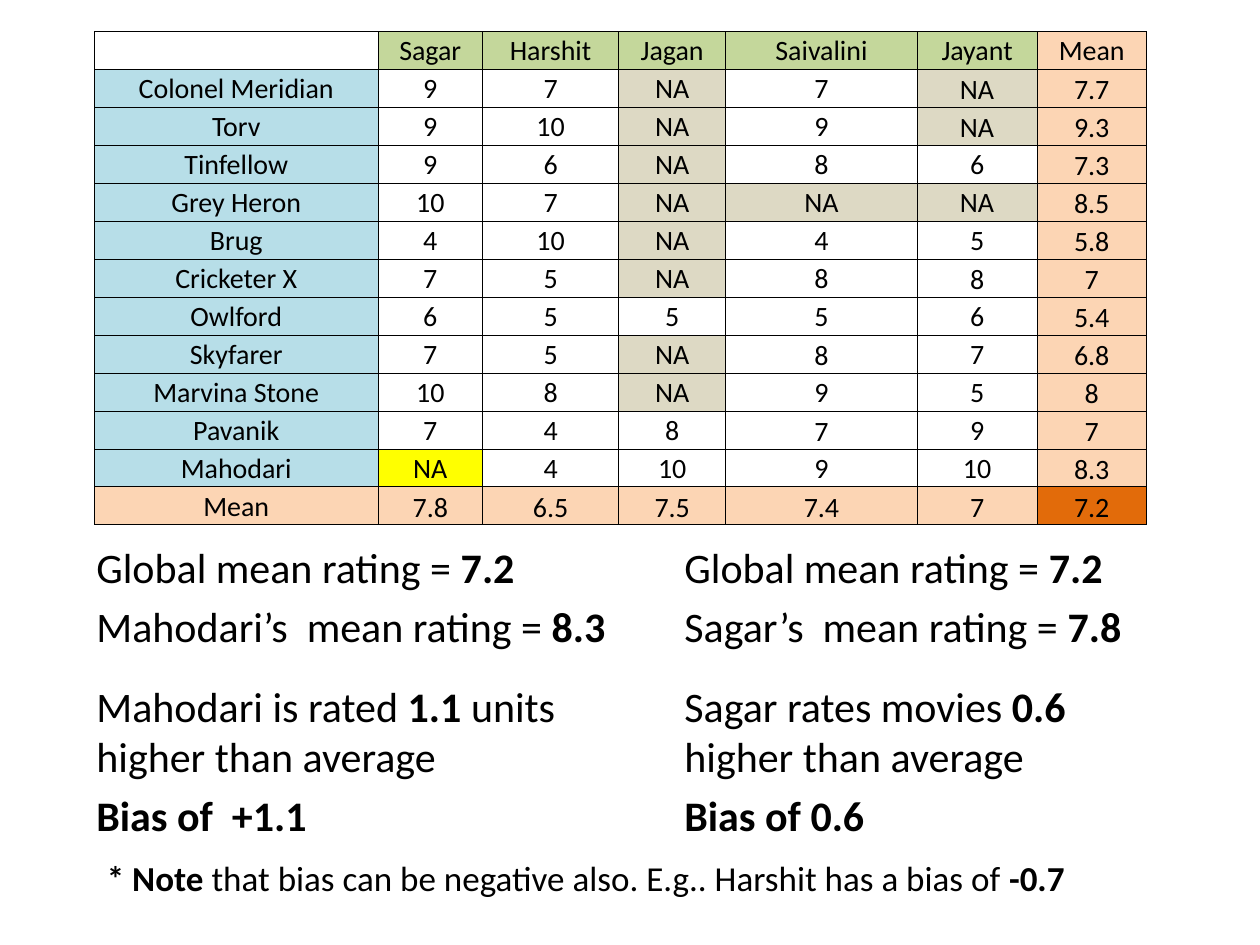
from lxml.etree import SubElement
from pptx import Presentation
from pptx.dml.color import RGBColor
from pptx.enum.text import MSO_ANCHOR as Anchor, MSO_AUTO_SIZE as AutoSize, PP_ALIGN as Align
from pptx.oxml.ns import qn
from pptx.util import Inches, Pt

BLACK = RGBColor(0x00, 0x00, 0x00)
GREEN = RGBColor(0xC4, 0xD7, 0x9B)
BLUE = RGBColor(0xB7, 0xDE, 0xE8)
PEACH = RGBColor(0xFC, 0xD5, 0xB4)
TAN = RGBColor(0xDD, 0xD9, 0xC4)
YELLOW = RGBColor(0xFF, 0xFF, 0x00)
ORANGE = RGBColor(0xE2, 0x6B, 0x0A)
FONT = "Calibri"

deck = Presentation()
deck.slide_width, deck.slide_height = Inches(10), Inches(7.5)
page = deck.slides.add_slide(deck.slide_layouts[6])

# Slide grid: 12 columns by 30 rows
COL = deck.slide_width / 12
ROW = deck.slide_height / 30


def add_span(para, text, size, bold=False):
    span = para.add_run()
    span.text = text
    span.font.name, span.font.size, span.font.bold = FONT, Pt(size), bold
    span.font.color.rgb = BLACK


def add_box(col, row, cols, rows, paragraphs, size):
    """Text box; the odd pieces of every paragraph are bold."""
    box = page.shapes.add_textbox(int(col * COL), int(row * ROW), int(cols * COL), int(rows * ROW))
    frame = box.text_frame
    frame.word_wrap = True
    for number, pieces in enumerate(paragraphs):
        para = frame.add_paragraph() if number else frame.paragraphs[0]
        for index, piece in enumerate(pieces):
            if piece:
                add_span(para, piece, size, bold=index % 2 == 1)
    return frame


# Two worked examples, side by side
examples = [
    (0.8, 5.1, [
        ("Global mean rating = ", "7.2"),
        ("Mahodari’s  mean rating = ", "8.3"),
        ("Mahodari is rated ", "1.1 ", "units higher than average"),
        ("", "Bias of  +1.1"),
    ]),
    (6.4, 4.6, [
        ("Global mean rating = ", "7.2"),
        ("Sagar’s  mean rating = ", "7.8"),
        ("Sagar rates movies ", "0.6", " higher than average"),
        ("", "Bias of 0.6"),
    ]),
]
for left, width, paragraphs in examples:
    frame = add_box(left, 17, width, 10, paragraphs, 24)
    for para in frame.paragraphs:
        para.space_before = Pt(4.8)
    frame.paragraphs[1].space_after = Pt(12)

# Note
note = [("", "* Note", " that bias can be negative also. E.g.. Harshit has a bias of ", "-0.7")]
add_box(0.9, 27, 10.5, 1.75, note, 20).auto_size = AutoSize.SHAPE_TO_FIT_TEXT

# Ratings table
ratings = [
    ("", "Sagar", "Harshit", "Jagan", "Saivalini", "Jayant", "Mean"),
    ("Colonel Meridian", "9", "7", "NA", "7", "NA", "7.7"),
    ("Torv", "9", "10", "NA", "9", "NA", "9.3"),
    ("Tinfellow", "9", "6", "NA", "8", "6", "7.3"),
    ("Grey Heron", "10", "7", "NA", "NA", "NA", "8.5"),
    ("Brug", "4", "10", "NA", "4", "5", "5.8"),
    ("Cricketer X", "7", "5", "NA", "8", "8", "7"),
    ("Owlford", "6", "5", "5", "5", "6", "5.4"),
    ("Skyfarer", "7", "5", "NA", "8", "7", "6.8"),
    ("Marvina Stone", "10", "8", "NA", "9", "5", "8"),
    ("Pavanik", "7", "4", "8", "7", "9", "7"),
    ("Mahodari", "NA", "4", "10", "9", "10", "8.3"),
    ("Mean", "7.8", "6.5", "7.5", "7.4", "7", "7.2"),
]
column_widths = [2.25, 0.83, 1.08, 0.85, 1.52, 0.95, 0.87]
low_cells = {(1, 5), (2, 5), (6, 5), (8, 4), (10, 4)}
last_row, last_col = len(ratings) - 1, len(column_widths) - 1

table = page.shapes.add_table(
    len(ratings), len(column_widths), int(0.9 * COL), int(ROW), int(10 * COL), Inches(3.92)
).table
table.first_row = table.horz_banding = False
for column, width in zip(table.columns, column_widths):
    column.width = Inches(width)

for r, values in enumerate(ratings):
    table.rows[r].height = int(Inches(3.92) / len(ratings))
    for c, value in enumerate(values):
        cell = table.cell(r, c)
        cell.margin_left = cell.margin_right = cell.margin_top = Inches(0.01)
        cell.margin_bottom = 0
        mean_value = (r == last_row and c > 0) or (c == last_col and r > 0)
        low = mean_value or (r, c) in low_cells
        cell.vertical_anchor = Anchor.BOTTOM if low else Anchor.MIDDLE

        para = cell.text_frame.paragraphs[0]
        para.alignment = Align.CENTER
        if value:
            add_span(para, value, 16)
        else:
            SubElement(para._p, qn("a:endParaRPr"), sz="1600")

        # Thin black borders
        properties = cell._tc.get_or_add_tcPr()
        for side in ("lnL", "lnR", "lnT", "lnB"):
            line = SubElement(properties, qn(f"a:{side}"), w=str(Pt(0.5)))
            SubElement(SubElement(line, qn("a:solidFill")), qn("a:srgbClr"), val=str(BLACK))

        # Fill by role
        if (r, c) == (last_row, last_col):
            color = ORANGE
        elif r == last_row or c == last_col:
            color = PEACH
        elif value == "NA":
            color = YELLOW if c == 1 else TAN
        elif r == 0 and c > 0:
            color = GREEN
        elif c == 0 and r > 0:
            color = BLUE
        else:
            cell.fill.background()
            continue
        cell.fill.solid()
        cell.fill.fore_color.rgb = color

deck.save("out.pptx")
